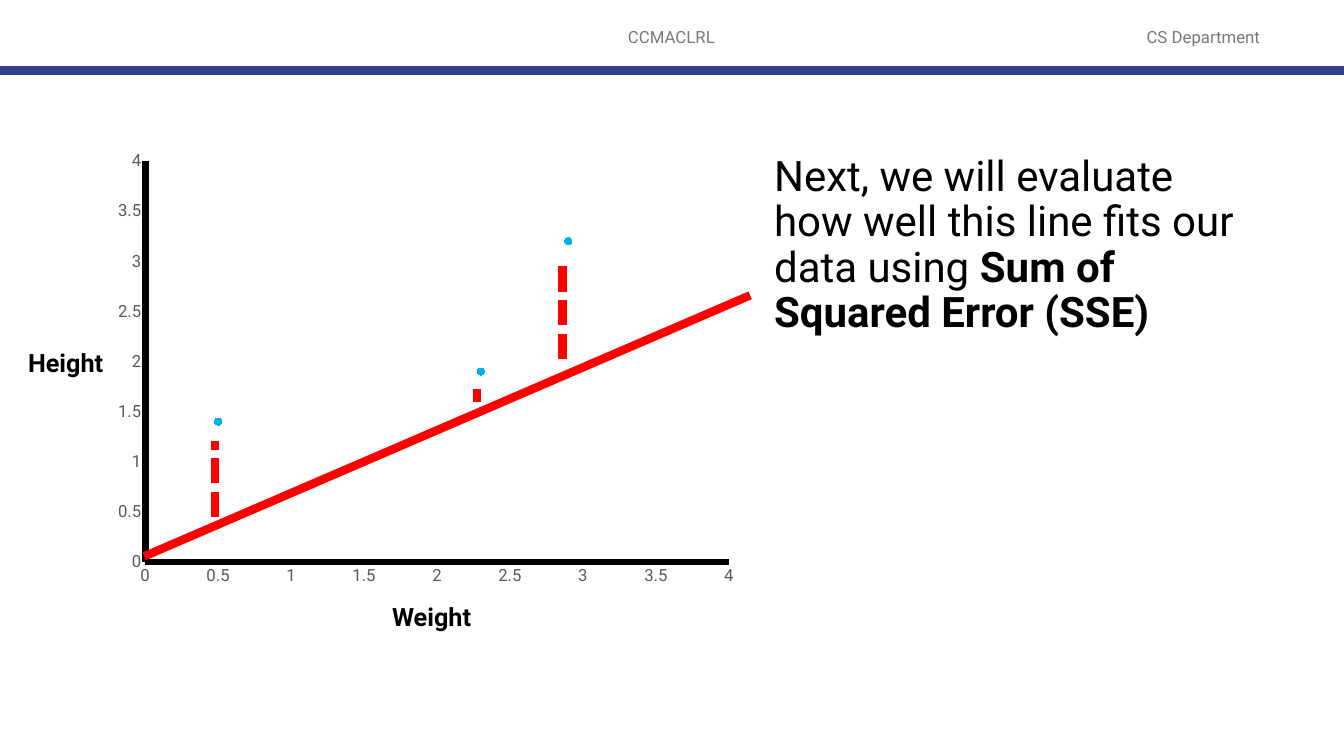
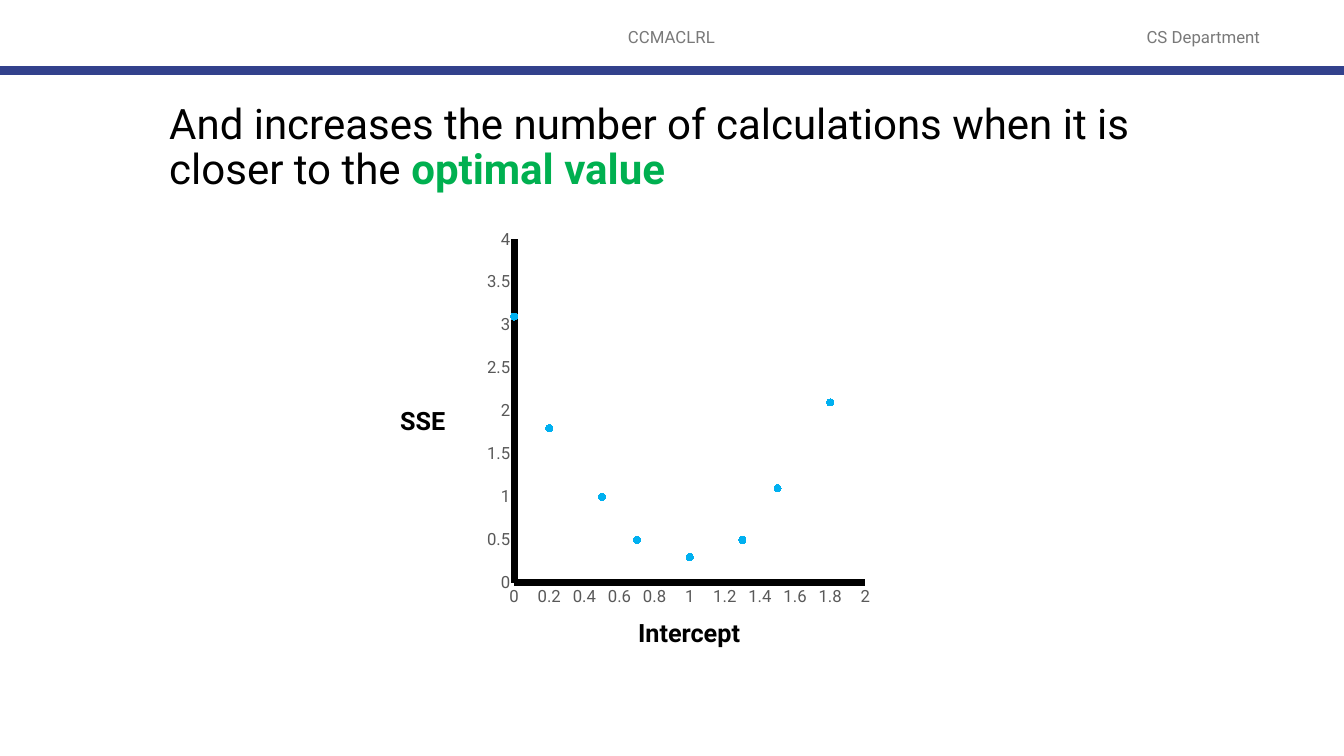
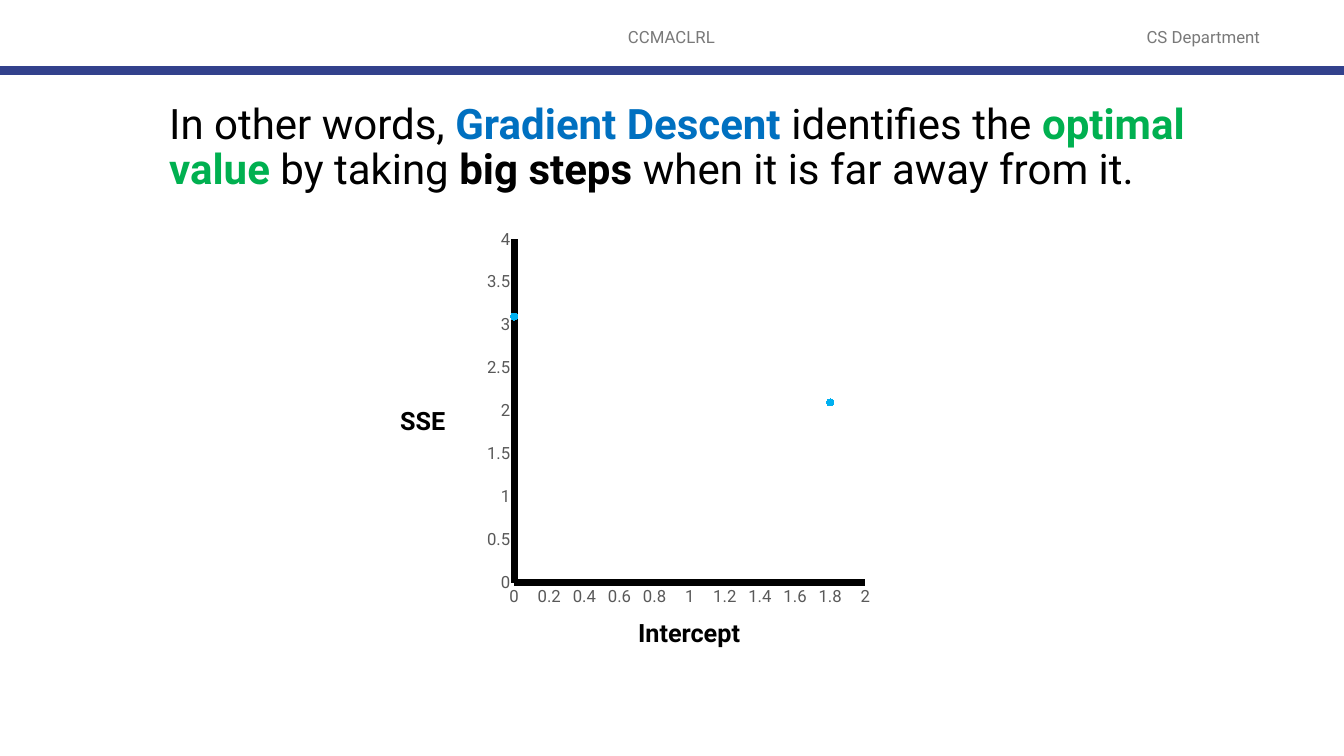
from dataclasses import dataclass
from typing import NamedTuple, Optional

from lxml.etree import SubElement
from pptx import Presentation
from pptx.chart.data import XyChartData
from pptx.dml.color import RGBColor
from pptx.enum.chart import XL_CHART_TYPE as ChartType
from pptx.enum.chart import XL_MARKER_STYLE as MarkerStyle
from pptx.enum.chart import XL_TICK_MARK as TickMark
from pptx.enum.dml import MSO_LINE as Dash
from pptx.enum.shapes import MSO_CONNECTOR as Connector
from pptx.enum.text import MSO_ANCHOR as Anchor
from pptx.enum.text import PP_ALIGN as Align
from pptx.oxml import parse_xml
from pptx.oxml.ns import nsdecls, qn
from pptx.slide import Slide
from pptx.util import Emu, Pt

# Shared look: 100 px to the inch
EMU_PER_PX = 9144
PAGE_WIDTH, PAGE_HEIGHT = 1333, 750
FONT = "Roboto"
BLACK, RED, NAVY = "000000", "FF0000", "32418C"
GREEN, BLUE, DOT_BLUE = "00B050", "0070C0", "00B0F0"
HEADER_GREY, TICK_GREY = "797979", "595959"

# A missing coordinate leaves the point undrawn
Point = tuple[Optional[float], Optional[float]]


class Area(NamedTuple):
    left: int
    top: int
    width: int
    height: int


class Span(NamedTuple):
    text: str
    bold: bool = False
    color: str = BLACK


class Stroke(NamedTuple):
    start: tuple[int, int]
    end: tuple[int, int]
    color: str = RED
    dashed: bool = False


class Plot(NamedTuple):
    """Inner plot area as fractions of the chart."""
    x: float
    y: float
    w: float
    h: float


@dataclass
class Scatter:
    area: Area
    plot: Plot
    points: list[Point]
    x_max: float
    x_step: float
    x_label: tuple[str, Area]
    y_label: tuple[str, Area]


def px(length: int) -> Emu:
    return Emu(length * EMU_PER_PX)


def rgb(color: str) -> RGBColor:
    return RGBColor.from_string(color)


def add_text(page: Slide, area: Area, spans: list[Span], size: int,
             align: Align = Align.LEFT, anchor: Anchor = Anchor.TOP,
             line_spacing: float = 1.0) -> None:
    frame = page.shapes.add_textbox(*map(px, area)).text_frame
    frame.word_wrap = True
    frame.vertical_anchor = anchor
    para = frame.paragraphs[0]
    para.alignment = align
    para.line_spacing = line_spacing
    para.font.name = FONT
    para.font.size = Pt(size)
    for span in spans:
        run = para.add_run()
        run.text = span.text
        run.font.bold = span.bold
        run.font.color.rgb = rgb(span.color)


def add_stroke(page: Slide, stroke: Stroke) -> None:
    line = page.shapes.add_connector(
        Connector.STRAIGHT, *map(px, stroke.start + stroke.end))
    line.line.color.rgb = rgb(stroke.color)
    line.line.width = Pt(6)
    if stroke.dashed:
        line.line.dash_style = Dash.SQUARE_DOT
    SubElement(line._element.spPr, qn("a:effectLst"))


def add_header(page: Slide) -> None:
    for text, area in (("CCMACLRL", Area(441, 17, 450, 40)),
                       ("CS Department", Area(1091, 17, 205, 40))):
        add_text(page, area, [Span(text, color=HEADER_GREY)], 12,
                 Align.CENTER, Anchor.MIDDLE)
    add_stroke(page, Stroke((0, 70), (PAGE_WIDTH, 70), NAVY))


def add_statement(page: Slide, area: Area, spans: list[Span]) -> None:
    add_text(page, area, spans, 30, line_spacing=0.9)


def add_scatter(page: Slide, scatter: Scatter) -> None:
    data = XyChartData()
    dots = data.add_series("Series 1")
    for x, y in scatter.points:
        dots.add_data_point(x, y)
    chart = page.shapes.add_chart(
        ChartType.XY_SCATTER, *map(px, scatter.area), data).chart
    chart.has_title = chart.has_legend = False
    chart.font.name = FONT
    chart.font.size = Pt(12)
    chart.font.color.rgb = rgb(TICK_GREY)

    # Thick black axes without ticks or gridlines
    for axis, top, step in (
            (chart.category_axis, scatter.x_max, scatter.x_step),
            (chart.value_axis, 4, 0.5)):
        axis.minimum_scale, axis.maximum_scale = 0, top
        axis.major_unit = step
        axis.has_major_gridlines = False
        axis.major_tick_mark = axis.minor_tick_mark = TickMark.NONE
        axis.tick_labels.number_format = "General"
        axis.tick_labels.number_format_is_linked = False
        axis.format.line.color.rgb = rgb(BLACK)
        axis.format.line.width = Pt(5)

    # Dots only
    chart.plots[0].vary_by_categories = False
    series = chart.plots[0].series[0]
    series.smooth = False
    series.format.line.fill.background()
    series.marker.style = MarkerStyle.CIRCLE
    series.marker.size = 5
    for part in (series.marker.format.fill, series.marker.format.line.fill):
        part.solid()
        part.fore_color.rgb = rgb(DOT_BLUE)

    # Fixed inner plot area
    plot_area = chart._chartSpace.chart.plotArea
    for layout in plot_area.findall(qn("c:layout")):
        plot_area.remove(layout)
    sizes = "".join(f'<c:{name} val="{value}"/>'
                    for name, value in scatter.plot._asdict().items())
    plot_area.insert(0, parse_xml(
        f'<c:layout {nsdecls("c")}><c:manualLayout>'
        '<c:layoutTarget val="inner"/>'
        '<c:xMode val="edge"/><c:yMode val="edge"/>'
        f'{sizes}</c:manualLayout></c:layout>'))

    for text, area in (scatter.x_label, scatter.y_label):
        add_text(page, area, [Span(text, bold=True)], 18)


def sse_scatter(points: list[Point]) -> Scatter:
    return Scatter(Area(483, 226, 380, 379), Plot(0.07, 0.03, 0.92, 0.9),
                   points, x_max=2, x_step=0.2,
                   x_label=("Intercept", Area(623, 608, 135, 40)),
                   y_label=("SSE", Area(387, 397, 96, 40)))


def build_fit_page(page: Slide) -> None:
    add_statement(page, Area(758, 149, 496, 190), [
        Span("Next, we will evaluate how well this line fits our data using "),
        Span("Sum of Squared Error (SSE)", bold=True)])
    add_scatter(page, Scatter(
        Area(117, 150, 612, 443), Plot(0.04, 0.02, 0.95, 0.9),
        [(0.5, 1.4), (2.3, 1.9), (2.9, 3.2)], x_max=4, x_step=0.5,
        x_label=("Weight", Area(379, 592, 102, 40)),
        y_label=("Height", Area(18, 340, 100, 40))))
    # Fitted line and its residuals
    add_stroke(page, Stroke((744, 293), (143, 552)))
    for x, bottom, top in ((213, 513, 438), (558, 356, 263), (473, 399, 386)):
        add_stroke(page, Stroke((x, bottom), (x, top), dashed=True))


def build_calculations_page(page: Slide) -> None:
    add_scatter(page, sse_scatter([
        (0, 3.1), (0.2, 1.8), (0.5, 1), (0.7, 0.5),
        (1, 0.3), (1.3, 0.5), (1.5, 1.1), (1.8, 2.1)]))
    add_statement(page, Area(158, 97, 1018, 91), [
        Span("And increases the number of calculations when it is "
             "closer to the "),
        Span("optimal value", True, GREEN)])


def build_big_steps_page(page: Slide) -> None:
    skipped: list[Point] = [(None, None)] * 5
    add_scatter(page, sse_scatter(
        [(0, 3.1), (None, 1.8), *skipped, (1.8, 2.1)]))
    add_statement(page, Area(158, 97, 1060, 91), [
        Span("In other words, "),
        Span("Gradient Descent ", True, BLUE),
        Span("identifies the "),
        Span("optimal value", True, GREEN),
        Span(" by taking "),
        Span("big steps ", True),
        Span("when it is far away from it.")])


def main() -> None:
    deck = Presentation()
    deck.slide_width, deck.slide_height = px(PAGE_WIDTH), px(PAGE_HEIGHT)
    blank = deck.slide_layouts[6]
    for build in (build_fit_page, build_calculations_page,
                  build_big_steps_page):
        page = deck.slides.add_slide(blank)
        add_header(page)
        build(page)
    deck.save("out.pptx")


if __name__ == "__main__":
    main()
